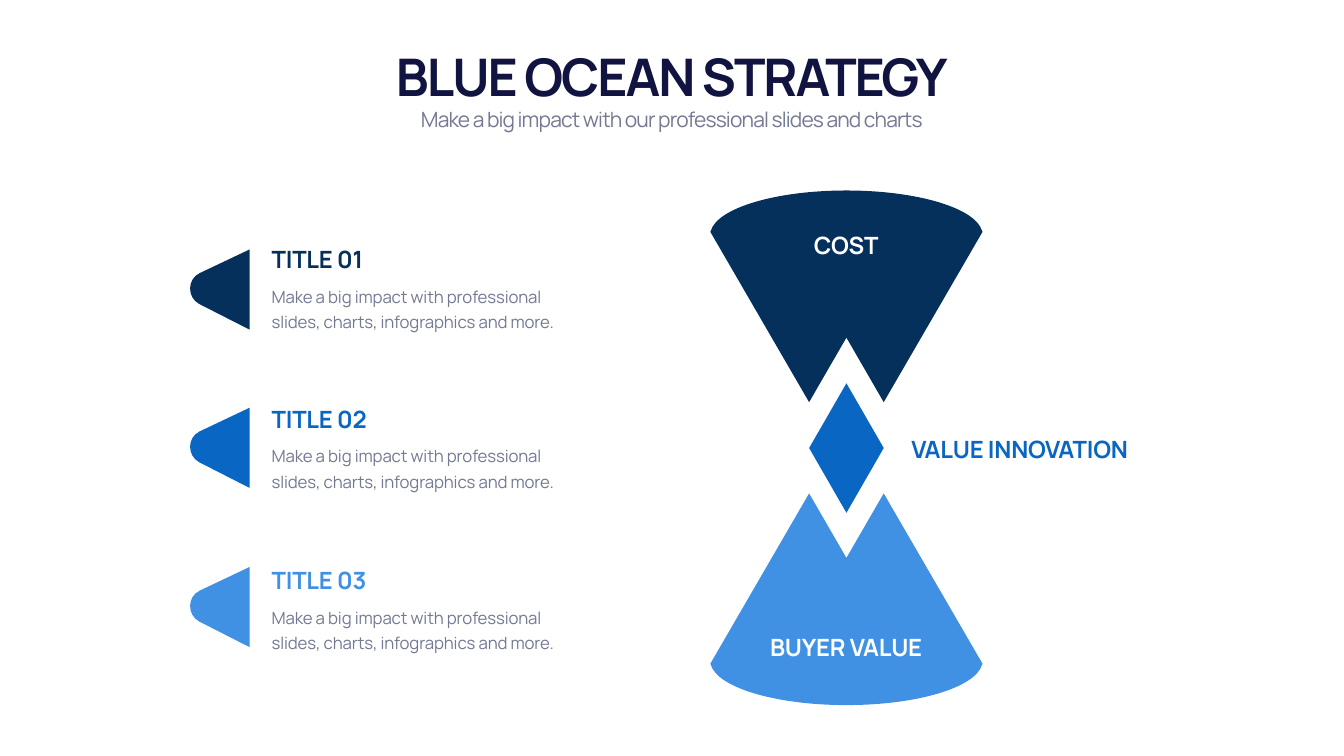
from dataclasses import dataclass

from lxml import etree
from pptx import Presentation
from pptx.dml.color import RGBColor
from pptx.enum.text import MSO_ANCHOR, MSO_AUTO_SIZE, PP_ALIGN
from pptx.oxml.ns import qn
from pptx.util import Inches, Pt

TOP, MIDDLE, BOTTOM = MSO_ANCHOR.TOP, MSO_ANCHOR.MIDDLE, MSO_ANCHOR.BOTTOM
LEFT, CENTER = PP_ALIGN.LEFT, PP_ALIGN.CENTER


@dataclass(frozen=True)
class Theme:
    font: str = "Manrope"
    ink: str = "111340"
    muted: str = "747994"
    white: str = "FFFFFF"
    navy: str = "06305C"
    blue: str = "0A66C3"
    sky: str = "4091E3"
    title_size: int = 74
    subtitle_size: int = 30
    label_size: int = 34
    body_size: int = 24
    body_leading: int = 36


THEME = Theme()
BODY = "Make a big impact with professional slides, charts, infographics and more."


def add_text(page, box, text, *, size, color, bold=False, align=LEFT,
             anchor=TOP, tracking=-0.3, leading=None):
    shape = page.shapes.add_textbox(*map(Inches, box))
    frame = shape.text_frame
    frame.word_wrap = True
    frame.auto_size = MSO_AUTO_SIZE.SHAPE_TO_FIT_TEXT
    frame.vertical_anchor = anchor
    para = frame.paragraphs[0]
    para.alignment = align
    if leading:
        para.line_spacing = Pt(leading)
    span = para.add_run()
    span.text = text
    span.font.name = THEME.font
    span.font.size = Pt(size)
    span.font.bold = bold
    span.font.color.rgb = RGBColor.from_string(color)
    span.font._element.set("spc", str(round(tracking * 100)))


def add_label(page, box, text, color, **options):
    add_text(page, box, text, size=THEME.label_size, color=color, bold=True, **options)


def add_outline(page, origin, points, color, curves=()):
    """Draw a closed outline; each index in curves is the start point of a cubic."""
    left, top = origin
    corners = [(Inches(left + x), Inches(top + y)) for x, y in points]
    builder = page.shapes.build_freeform(*corners[0])
    builder.add_line_segments(corners[1:], close=True)
    shape = builder.convert_to_shape()

    # Turn three line segments into one Bezier segment
    segments = list(shape._element.iter(qn("a:lnTo")))
    for start in curves:
        trio = segments[start:start + 3]
        cubic = etree.Element(qn("a:cubicBezTo"))
        trio[0].addprevious(cubic)
        for segment in trio:
            cubic.append(segment[0])
            segment.getparent().remove(segment)

    shape.shadow.inherit = False
    shape.fill.solid()
    shape.fill.fore_color.rgb = RGBColor.from_string(color)
    shape.line.fill.background()


def add_header(page, box):
    left, top, width, height = box
    add_text(page, (left, top, width, 1.35), "BLUE OCEAN STRATEGY",
             size=THEME.title_size, color=THEME.ink, bold=True,
             align=CENTER, anchor=BOTTOM, tracking=-2.9)
    add_text(page, (left, top + 1.25, width, height - 1.25),
             "Make a big impact with our professional slides and charts",
             size=THEME.subtitle_size, color=THEME.muted, align=CENTER, tracking=-1.2)


def add_marker(page, box, color):
    """Triangle pointing left with a rounded tip."""
    left, top, width, height = box
    points = [(width, height), (width, 0),
              (0.25, 0.47), (0, 0.59), (0, 0.95), (0.24, 1.08)]
    add_outline(page, (left, top), points, color, curves=(2,))


def add_item(page, box, marker_top, title, color):
    left, top, width, height = box
    text_left, text_width = left + 1.58, width - 1.58
    add_marker(page, (left, marker_top, 1.24, 1.59), color)
    add_label(page, (text_left, top, text_width, 0.67), title, color, anchor=BOTTOM)
    add_text(page, (text_left, top + 0.72, text_width, height - 0.72), BODY,
             size=THEME.body_size, color=THEME.muted, tracking=-0.2,
             leading=THEME.body_leading)


def add_cone(page, box, color, flip=False):
    """Fan with a domed rim and a notched point; flip puts the rim below."""
    left, top, width, height = box
    middle, rim, half_notch = width / 2, 0.8, 0.74
    half = [(middle - half_notch, height), (0, rim + 0.02),
            (0.01, rim), (0.14, 0.35), (1.29, 0), (middle, 0)]
    mirrored = [(width - x, y) for x, y in reversed(half[:-1])]
    points = half + mirrored + [(middle, height - 1.28)]
    if flip:
        points = [(x, height - y) for x, y in points]
    add_outline(page, (left, top), points, color, curves=(2, 5))


def add_diamond(page, box, color):
    left, top, width, height = box
    points = [(width / 2, 0), (width, height / 2), (width / 2, height), (0, height / 2)]
    add_outline(page, (left, top), points, color)


def add_hourglass(page, box):
    left, top, width, height = box
    cone_height = 4.2
    label_left, label_width = left + 0.73, 3.93
    add_cone(page, (left, top + height - cone_height, width, cone_height),
             THEME.sky, flip=True)
    add_cone(page, (left, top, width, cone_height), THEME.navy)
    add_diamond(page, (left + width / 2 - 0.74, top + height / 2 - 1.28, 1.48, 2.57),
                THEME.blue)
    for offset, text in ((8.73, "BUYER VALUE"), (0.74, "COST")):
        add_label(page, (label_left, top + offset, label_width, 0.67), text,
                  THEME.white, align=CENTER, anchor=MIDDLE)
    add_label(page, (left + 3.89, top + 4.8, 5.42, 0.67), "VALUE INNOVATION",
              THEME.blue, anchor=MIDDLE)


def main():
    deck = Presentation()
    deck.slide_width, deck.slide_height = Inches(26.66), Inches(15)
    page = deck.slides.add_slide(deck.slide_layouts[6])

    # Heading
    add_header(page, (1.66, 0.82, 23.33, 1.86))

    # Numbered items: text top, marker top, colour
    items = ((4.81, 4.95, THEME.navy), (7.98, 8.09, THEME.blue), (11.18, 11.25, THEME.sky))
    for number, (top, marker_top, color) in enumerate(items, 1):
        add_item(page, (3.71, top, 8.01, 1.81), marker_top, f"TITLE {number:02}", color)

    # Hourglass diagram
    add_hourglass(page, (14.09, 3.78, 5.4, 10.21))
    deck.save("out.pptx")


if __name__ == "__main__":
    main()
